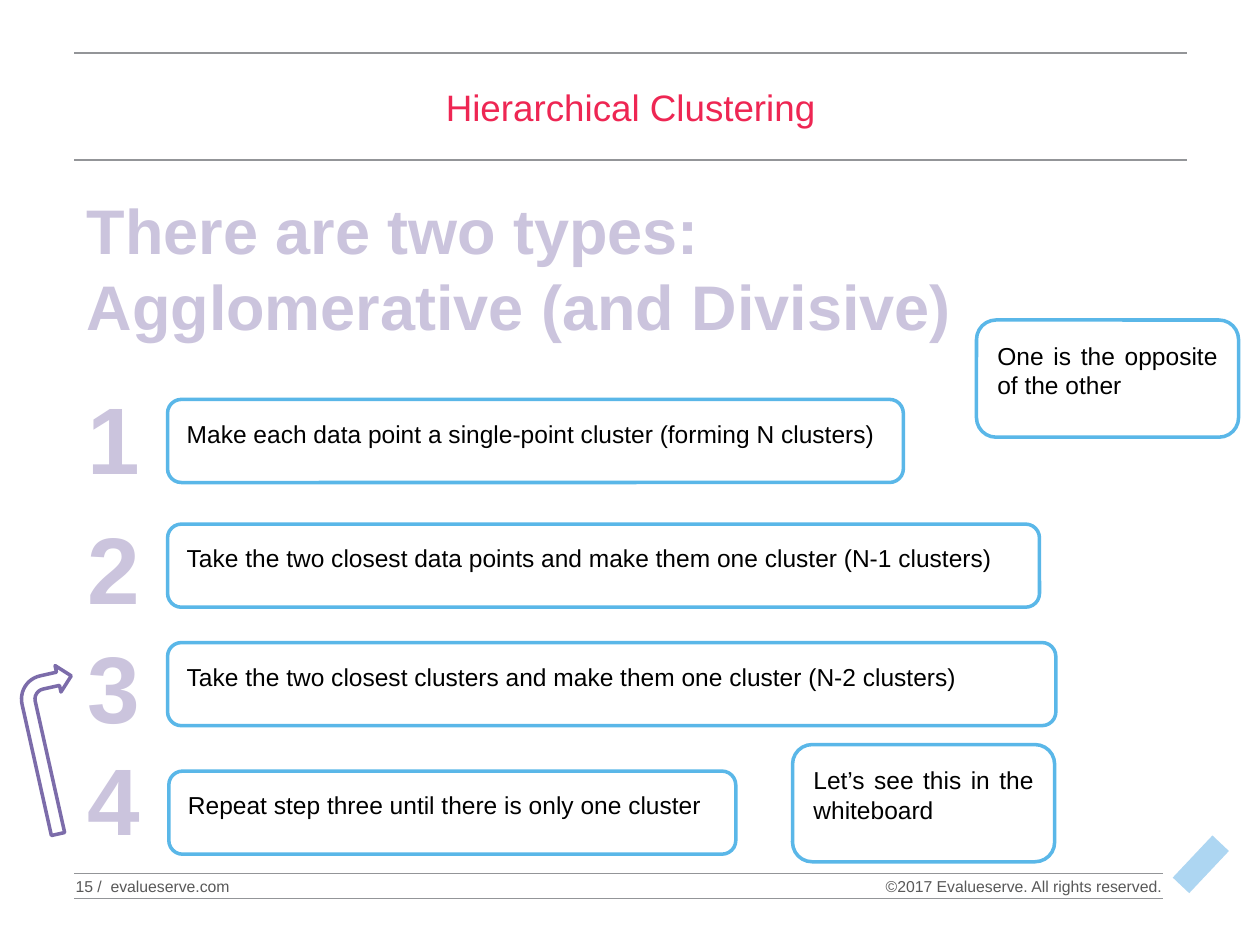
from lxml import etree
from pptx import Presentation
from pptx.dml.color import RGBColor
from pptx.enum.shapes import MSO_CONNECTOR, MSO_SHAPE
from pptx.enum.text import MSO_ANCHOR as Anchor, MSO_AUTO_SIZE as AutoSize, PP_ALIGN as Align
from pptx.oxml.ns import qn
from pptx.util import Inches, Pt

FONT = "Arial"
COLORS = {
    "title": "EE2653", "rule": "939598", "footer": "595959",
    "box_line": "5AB7E8", "text": "000000", "white": "FFFFFF",
    "lilac": "CBC4DD", "purple": "7C6CAA", "mark": "ADD6F2",
}


def rgb(name):
    return RGBColor.from_string(COLORS[name])


def inches(*values):
    return [Inches(value) for value in values]


def set_margins(frame, horizontal, vertical):
    frame.margin_left = frame.margin_right = Inches(horizontal)
    frame.margin_top = frame.margin_bottom = Inches(vertical)


def style_paragraph(paragraph, size, color, align=Align.LEFT, bold=False):
    paragraph.alignment = align
    font = paragraph.font
    font.name, font.size, font.bold = FONT, Pt(size), bold
    font.color.rgb = rgb(color)


def outline_text(run):
    """Give the letters a thin purple outline."""
    properties = run._r.get_or_add_rPr()
    line = etree.Element(qn("a:ln"), w=str(Pt(1.75)))
    fill = etree.SubElement(line, qn("a:solidFill"))
    etree.SubElement(fill, qn("a:srgbClr"), val=COLORS["purple"])
    properties.insert(0, line)


def add_title(slide, text):
    title = slide.shapes.title
    title.left, title.top, title.width, title.height = inches(0.59, 0.63, 8.83, 0.78)
    frame = title.text_frame
    frame.text = text
    frame.auto_size = AutoSize.NONE
    frame.vertical_anchor = Anchor.TOP
    set_margins(frame, 0, 0.04)
    style_paragraph(frame.paragraphs[0], 21, "title", Align.CENTER)


def add_rule(slide, right, y):
    rule = slide.shapes.add_connector(MSO_CONNECTOR.STRAIGHT, *inches(0.59, y, right, y))
    rule.line.color.rgb = rgb("rule")
    rule.line.width = Pt(0.75)
    etree.SubElement(rule._element.spPr, qn("a:effectLst"))


def add_footer(slide, position, text, align):
    frame = slide.shapes.add_textbox(*inches(*position)).text_frame
    frame.text = text
    frame.word_wrap = True
    frame.vertical_anchor = Anchor.MIDDLE
    set_margins(frame, 0, 0)
    style_paragraph(frame.paragraphs[0], 9, "footer", align)


def add_display_text(slide, position, text, size, align, wrap):
    """Add large outlined lilac lettering."""
    frame = slide.shapes.add_textbox(*inches(*position)).text_frame
    frame.text = text
    frame.word_wrap = wrap
    frame.auto_size = AutoSize.SHAPE_TO_FIT_TEXT
    for paragraph in frame.paragraphs:
        style_paragraph(paragraph, size, "lilac", align, bold=True)
        outline_text(paragraph.runs[0])


def add_outlined_shape(slide, kind, position, line_color):
    shape = slide.shapes.add_shape(kind, *inches(*position))
    shape.shadow.inherit = False
    shape.fill.solid()
    shape.fill.fore_color.rgb = rgb("white")
    shape.line.color.rgb = rgb(line_color)
    shape.line.width = Pt(2)
    return shape


def add_text_box(slide, position, text):
    shape = add_outlined_shape(slide, MSO_SHAPE.ROUNDED_RECTANGLE, position, "box_line")
    frame = shape.text_frame
    frame.text = text
    frame.word_wrap = True
    frame.vertical_anchor = Anchor.TOP
    set_margins(frame, 0.12, 0.12)
    style_paragraph(frame.paragraphs[0], 14, "text", Align.JUSTIFY)


def add_corner_mark(slide):
    mark = slide.shapes.add_shape(MSO_SHAPE.RECTANGLE, *inches(9.44, 6.63, 0.18, 0.46))
    mark.rotation = 43.3
    mark.shadow.inherit = False
    mark.fill.solid()
    mark.fill.fore_color.rgb = rgb("mark")
    mark.line.fill.background()


def main():
    presentation = Presentation()
    presentation.slide_width, presentation.slide_height = inches(10, 7.5)
    slide = presentation.slides.add_slide(presentation.slide_layouts[5])

    # Frame of the page
    add_corner_mark(slide)
    for right, y in [(9.42, 0.42), (9.42, 1.27), (9.23, 6.93), (9.23, 7.13)]:
        add_rule(slide, right, y)
    add_title(slide, "Hierarchical Clustering")
    add_footer(slide, (0.6, 6.93, 1.47, 0.2), "15 /  evalueserve.com", Align.LEFT)
    add_footer(slide, (6.05, 6.94, 3.17, 0.18),
               "©2017 Evalueserve. All rights reserved.", Align.RIGHT)

    # Numbered steps: box left, box top, box width, number top, text
    steps = [
        (1.33, 3.17, 5.84, 2.97,
         "Make each data point a single-point cluster (forming N clusters)"),
        (1.33, 4.16, 6.92, 4.0,
         "Take the two closest data points and make them one cluster (N-1 clusters)"),
        (1.33, 5.1, 7.05, 4.94,
         "Take the two closest clusters and make them one cluster (N-2 clusters)"),
        (1.34, 6.12, 4.5, 5.83,
         "Repeat step three until there is only one cluster"),
    ]
    for number, (left, top, width, number_top, text) in enumerate(steps, start=1):
        add_text_box(slide, (left, top, width, 0.66), text)
        add_display_text(slide, (0.59, number_top, 0.62, 1.01), str(number), 54,
                         Align.CENTER, wrap=False)

    # Heading
    add_display_text(slide, (0.59, 1.47, 8.67, 1.31),
                     "There are two types:\nAgglomerative (and Divisive)", 36,
                     Align.LEFT, wrap=True)

    # Side notes and the arrow from step 4 back to step 3
    add_text_box(slide, (7.75, 2.54, 2.08, 0.93), "One is the opposite of the other")
    arrow = add_outlined_shape(slide, MSO_SHAPE.BENT_ARROW, (0.26, 5.29, 0.43, 1.31), "purple")
    arrow.rotation = 347.4
    add_text_box(slide, (6.29, 5.91, 2.08, 0.93), "Let’s see this in the whiteboard")

    presentation.save("out.pptx")


if __name__ == "__main__":
    main()
